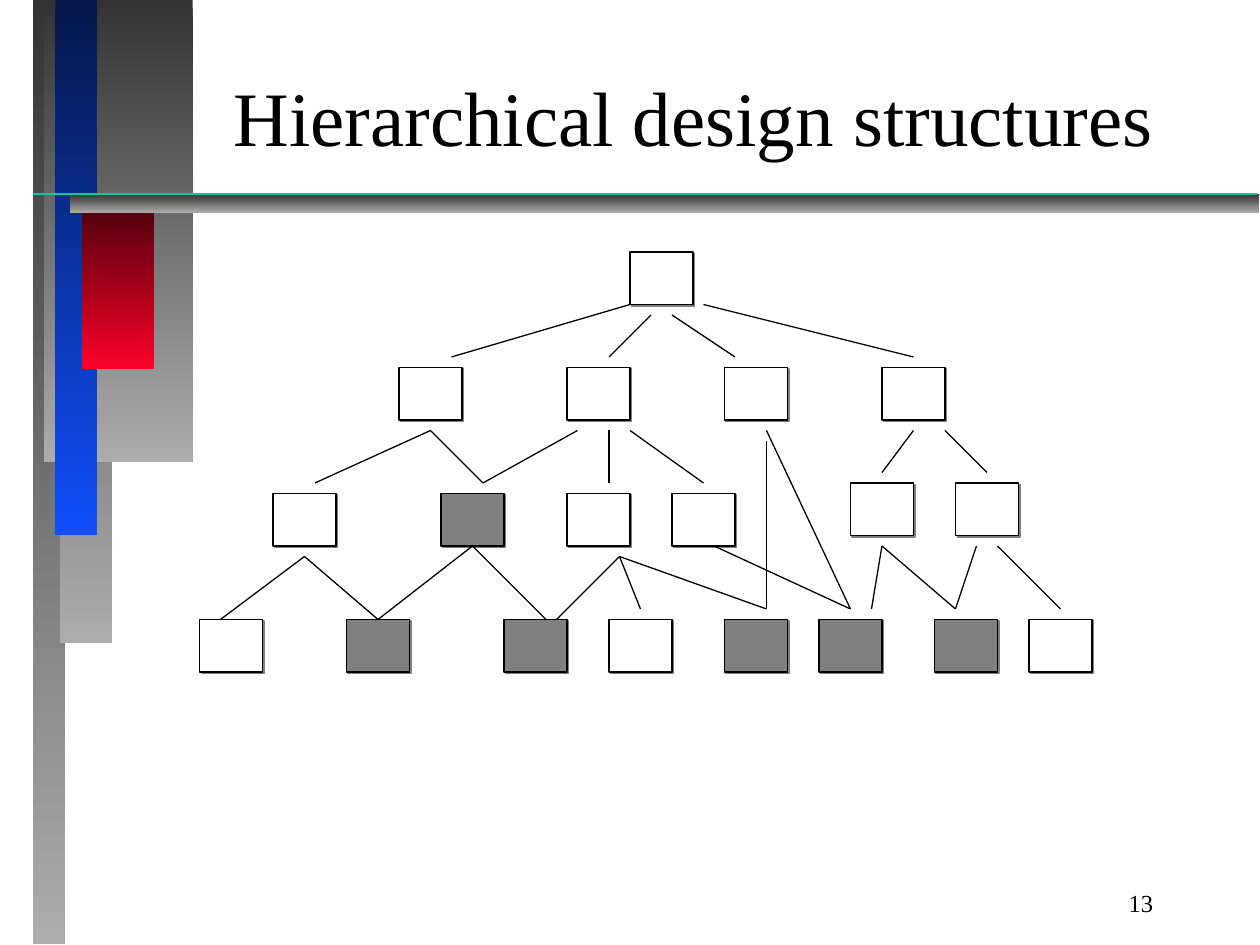
from lxml.etree import SubElement
from pptx import Presentation
from pptx.dml.color import RGBColor
from pptx.enum.shapes import MSO_CONNECTOR as Link, MSO_SHAPE as Shape
from pptx.enum.text import MSO_ANCHOR as Anchor, PP_ALIGN as Align
from pptx.oxml.ns import qn
from pptx.util import Inches, Pt

HUES = {
    "ink": "000000", "white": "FFFFFF", "gray": "808080", "rule": "00CC99",
    "dark": "333333", "light": "ACACAC", "navy": "05174A", "blue": "114FFB",
    "wine": "4A000B", "red": "FC0128",
}
FONT = "Times New Roman"
UNIT = 1 / 12
WIDE, HIGH = 6, 5

NODES = [
    (0, [41], []),
    (11, [19, 35, 50, 65], []),
    (23, [7, 23, 35, 45], [23]),
    (22, [62, 72], []),
    (35, [0, 14, 29, 39, 50, 59, 70, 79], [14, 29, 50, 59, 70]),
]
EDGES = {
    (41, 5): [(24, 10)],
    (48, 5): [(68, 10)],
    (45, 6): [(51, 10)],
    (43, 6): [(39, 10)],
    (22, 17): [(27, 22), (11, 22)],
    (36, 17): [(27, 22)],
    (39, 17): [(39, 22)],
    (41, 17): [(48, 22)],
    (54, 17): [(62, 34)],
    (54, 18): [(54, 34)],
    (68, 17): [(65, 21)],
    (71, 17): [(75, 21)],
    (10, 29): [(2, 35), (17, 35)],
    (26, 28): [(17, 35), (33, 35)],
    (40, 29): [(54, 34), (34, 35), (42, 34)],
    (49, 28): [(62, 34)],
    (65, 28): [(64, 34), (72, 34)],
    (74, 28): [(72, 34)],
    (76, 28): [(82, 34)],
}


def hue(name):
    return RGBColor.from_string(HUES[name])


def add_rect(slide, left, top, width, height):
    rect = slide.shapes.add_shape(
        Shape.RECTANGLE, Inches(left), Inches(top), Inches(width), Inches(height))
    rect.shadow.inherit = False
    return rect


def add_bar(slide, left, top, width, height, first, last):
    bar = add_rect(slide, left, top, width, height)
    bar.line.fill.background()
    bar.fill.gradient()
    bar.fill.gradient_angle = 270
    for stop, name in zip(bar.fill.gradient_stops, (first, last)):
        stop.color.rgb = hue(name)


def add_line(slide, start, end, name, weight):
    line = slide.shapes.add_connector(
        Link.STRAIGHT, *(Inches(v) for v in (*start, *end)))
    line.line.color.rgb = hue(name)
    line.line.width = Pt(weight)
    SubElement(line.element.spPr, qn("a:effectLst"))
    return line


def add_text(slide, left, top, width, height, text, size, align, anchor):
    box = slide.shapes.add_textbox(
        Inches(left), Inches(top), Inches(width), Inches(height))
    frame = box.text_frame
    frame.word_wrap = True
    frame.vertical_anchor = anchor
    para = frame.paragraphs[0]
    para.text = text
    para.alignment = align
    para.font.name = FONT
    para.font.size = Pt(size)
    para.font.color.rgb = hue("ink")


def add_trim(slide, left, top):
    bars = [
        (0, 0, 0.26, 7.49, "dark", "light"),
        (0.22, 0, 0.41, 5.1, "dark", "light"),
        (0.09, 0, 1.18, 3.67, "dark", "light"),
        (0.18, 0, 0.33, 4.25, "navy", "blue"),
        (0.39, 1.6, 0.57, 1.33, "wine", "red"),
        (0.3, 1.54, 9.43, 0.15, "dark", "light"),
    ]
    for x, y, width, height, first, last in bars:
        add_bar(slide, left + x, top + y, width, height, first, last)
    add_line(slide, (left, top + 1.54), (left + 9.72, top + 1.54), "rule", 1)


def add_node(slide, left, top, name):
    node = add_rect(slide, left, top, WIDE * UNIT, HIGH * UNIT)
    node.fill.solid()
    node.fill.fore_color.rgb = hue(name)
    node.line.color.rgb = hue("ink")
    node.line.width = Pt(0.75)
    glow = SubElement(
        node.element.spPr.find(qn("a:effectLst")), qn("a:outerShdw"),
        dist=str(Pt(1.4)), dir="2700000", algn="ctr", rotWithShape="0")
    SubElement(glow, qn("a:srgbClr"), val=HUES["gray"])
    return node


def add_tree(slide, left, top):
    def place(x, y):
        return left + x * UNIT, top + y * UNIT

    ports = {}
    for y, row, shared in NODES:
        for x in row:
            node = add_node(slide, *place(x, y), "gray" if x in shared else "white")
            ports[x + WIDE // 2, y] = node, 0
            ports[x + WIDE // 2, y + HIGH] = node, 2
    for start, ends in EDGES.items():
        for end in ends:
            line = add_line(slide, place(*start), place(*end), "ink", 0.75)
            if start in ports:
                line.begin_connect(*ports[start])
            if end in ports:
                line.end_connect(*ports[end])


def main():
    deck = Presentation()
    deck.slide_width, deck.slide_height = Inches(10), Inches(7.5)
    slide = deck.slides.add_slide(deck.slide_layouts[6])
    add_trim(slide, 0.26, 0)
    add_text(slide, 1.42, 0.25, 8.17, 1.33, "Hierarchical design structures",
             44, Align.CENTER, Anchor.MIDDLE)
    add_tree(slide, 19 * UNIT, 2)
    add_text(slide, 8.67, 7, 0.58, 0.33, "13", 14, Align.RIGHT, Anchor.TOP)
    deck.save("out.pptx")


if __name__ == "__main__":
    main()
